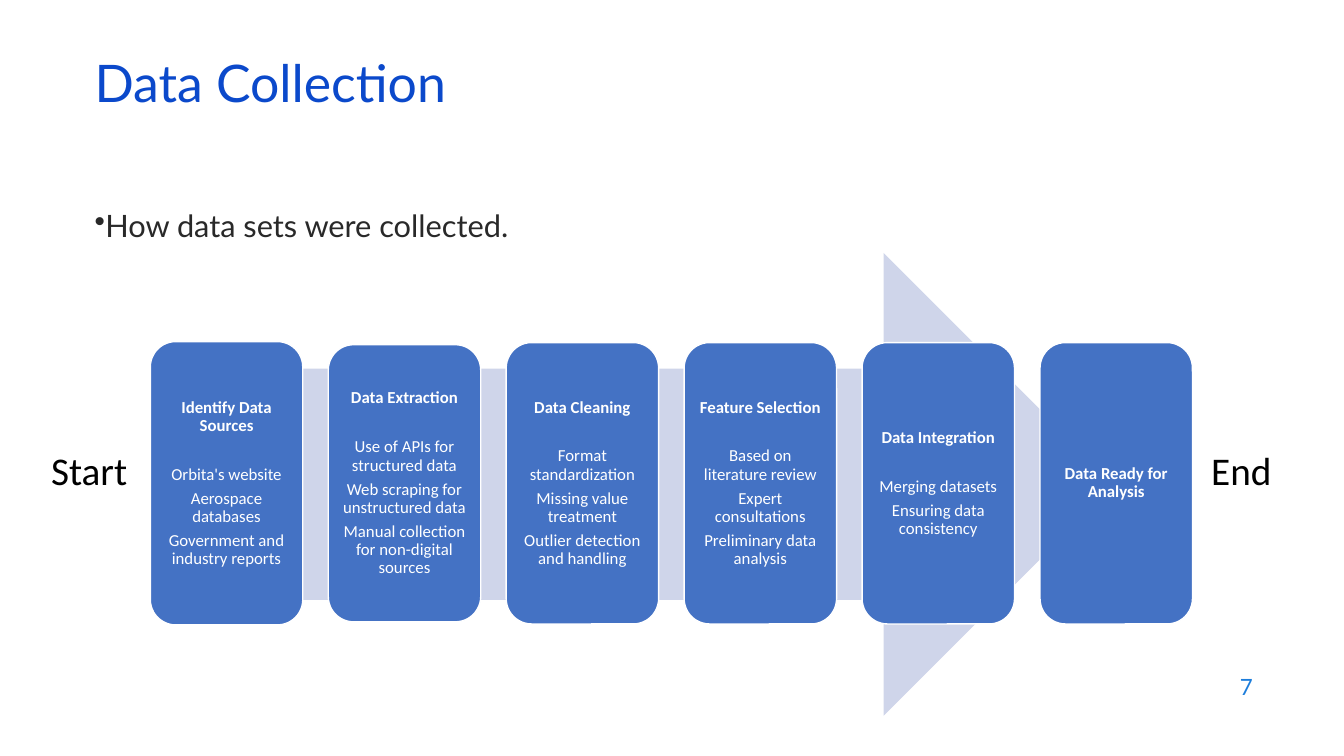
from lxml import etree
from pptx import Presentation
from pptx.dml.color import RGBColor
from pptx.enum.shapes import MSO_SHAPE
from pptx.enum.text import MSO_ANCHOR, PP_ALIGN
from pptx.oxml.ns import qn
from pptx.util import Pt

ARROW, ROUND = MSO_SHAPE.RIGHT_ARROW, MSO_SHAPE.ROUNDED_RECTANGLE
LEFT, CENTER, RIGHT = PP_ALIGN.LEFT, PP_ALIGN.CENTER, PP_ALIGN.RIGHT
TOP, MIDDLE = MSO_ANCHOR.TOP, MSO_ANCHOR.MIDDLE

WHITE = RGBColor(0xFF, 0xFF, 0xFF)
BLACK = RGBColor(0, 0, 0)
DARK = RGBColor(0x29, 0x29, 0x29)
TITLE = RGBColor(0x0B, 0x49, 0xCB)
PAGE = RGBColor(0x1C, 0x7D, 0xDB)
BLUE = RGBColor(0x44, 0x72, 0xC4)
PALE = RGBColor(0xCF, 0xD5, 0xEA)

STEP_LEFT, STEP_PITCH, STEP_WIDTH, STEP_MID = 107.4, 127.1, 108.9, 345.2
STEPS = [
    (202.4, "Identify Data Sources",
     ["Orbita's website", "Aerospace databases", "Government and industry reports"]),
    (198, "Data Extraction",
     ["Use of APIs for structured data", "Web scraping for unstructured data",
      "Manual collection for non-digital sources"]),
    (201, "Data Cleaning",
     ["Format standardization", "Missing value treatment", "Outlier detection and handling"]),
    (201, "Feature Selection",
     ["Based on literature review", "Expert consultations", "Preliminary data analysis"]),
    (201, "Data Integration", ["Merging datasets", "Ensuring data consistency"]),
    (201, "Data Ready for Analysis", []),
]


def style(para, font, size, color, align, bold=False):
    """Format a paragraph and its runs."""
    para.alignment = align
    for run in para.runs:
        run.font.name = font
        run.font.size = Pt(size)
        run.font.bold = bold
        run.font.color.rgb = color


def add_label(slide, box, text, font, size, color, align=LEFT, anchor=TOP, wrap=True):
    """Add a one-line text box and return its paragraph."""
    frame = slide.shapes.add_textbox(*map(Pt, box)).text_frame
    frame.word_wrap = wrap
    frame.vertical_anchor = anchor
    frame.text = text
    para = frame.paragraphs[0]
    style(para, font, size, color, align)
    return para


def add_bullet(para):
    """Put a round bullet right before the paragraph text."""
    props = para._p.get_or_add_pPr()
    props.set("marL", "0")
    props.set("indent", "0")
    etree.SubElement(props, qn("a:buChar")).set("char", "•")


def add_block(slide, kind, box, fill):
    """Add a filled preset shape without line or shadow."""
    shape = slide.shapes.add_shape(kind, *map(Pt, box))
    shape.shadow.inherit = False
    shape.fill.solid()
    shape.fill.fore_color.rgb = fill
    shape.line.fill.background()
    return shape


def add_step(slide, index, height, head, items):
    """Add one process step with a bold head and its items."""
    box = (STEP_LEFT + index * STEP_PITCH, STEP_MID - height / 2, STEP_WIDTH, height)
    shape = add_block(slide, ROUND, box, BLUE)
    shape.line.color.rgb = WHITE
    shape.line.width = Pt(1)
    frame = shape.text_frame
    frame.word_wrap = True
    frame.vertical_anchor = MIDDLE
    frame.margin_left = frame.margin_right = Pt(3.6)
    frame.margin_top = frame.margin_bottom = Pt(3.6)
    frame.text = "\n".join([head] + items)
    for row, para in enumerate(frame.paragraphs):
        style(para, "Calibri", 12, WHITE, CENTER, bold=row == 0)
        para.line_spacing = 0.9
        if row > 0:
            para.space_before = Pt(22 if row == 1 else 4.2)


def main():
    """Build the slide and save it."""
    deck = Presentation()
    deck.slide_width, deck.slide_height = Pt(960), Pt(540)
    slide = deck.slides.add_slide(deck.slide_layouts[6])

    add_label(slide, (686, 474.5, 216, 31.5), "7", "Lato", 16, PAGE, RIGHT, MIDDLE)
    add_bullet(add_label(slide, (60.5, 144, 828, 36), "How data sets were collected.",
                         "Lato", 22, DARK))
    title = add_label(slide, (60.5, 42.5, 828, 43), "Data Collection",
                      "Lato", 37, TITLE, anchor=MIDDLE)
    title.line_spacing = 0.7

    add_block(slide, ARROW, (163.4, 180.7, 633, 330.5), PALE)
    for index, step in enumerate(STEPS):
        add_step(slide, index, *step)
    for left, width, text in [(28.8, 69.8, "Start"), (857.5, 58.3, "End")]:
        add_label(slide, (left, 315.4, width, 41), text, "Calibri", 28, BLACK, CENTER, wrap=False)

    deck.save("out.pptx")


if __name__ == "__main__":
    main()
